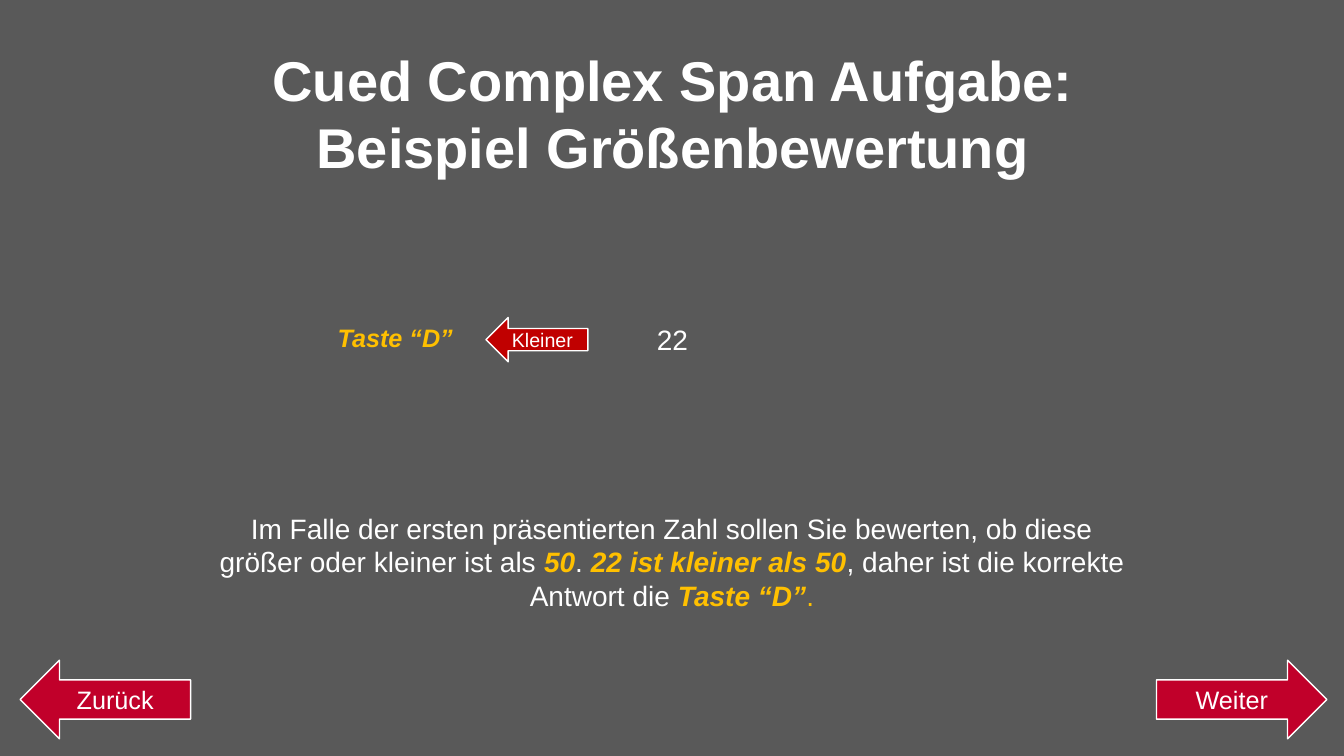
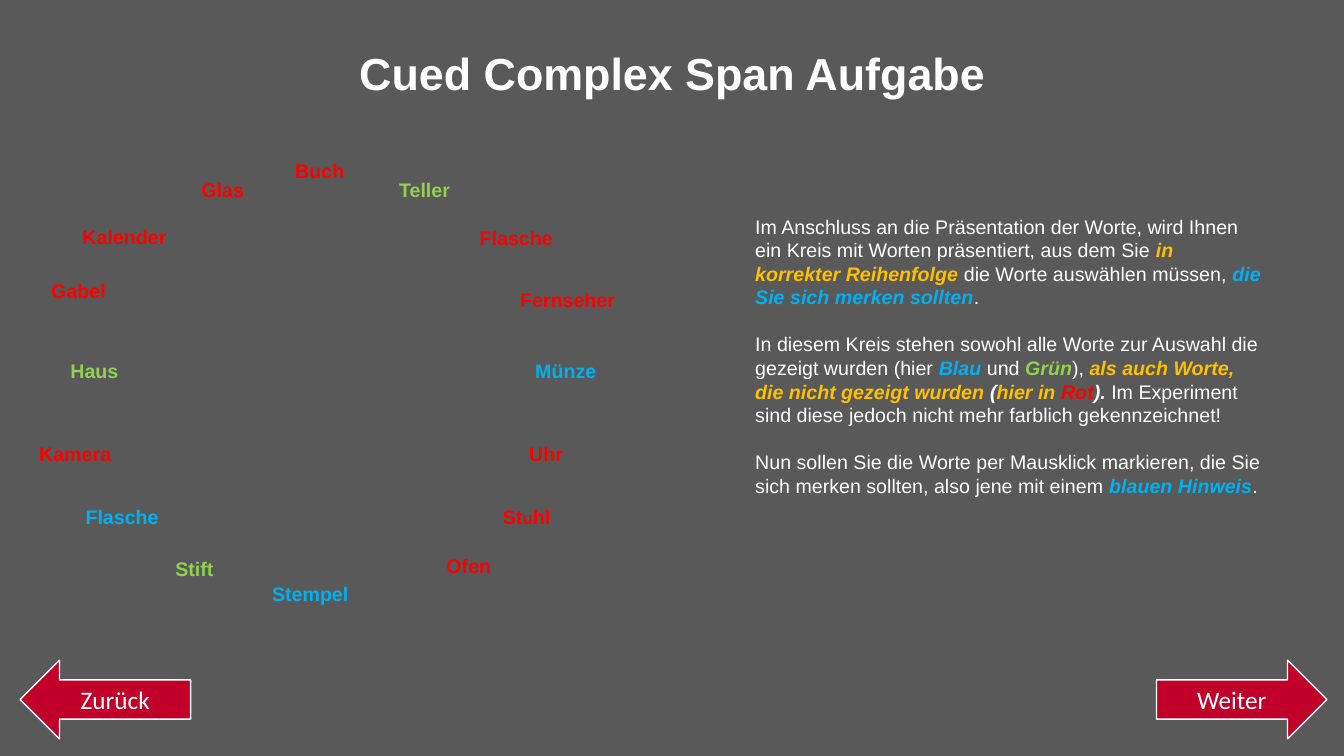
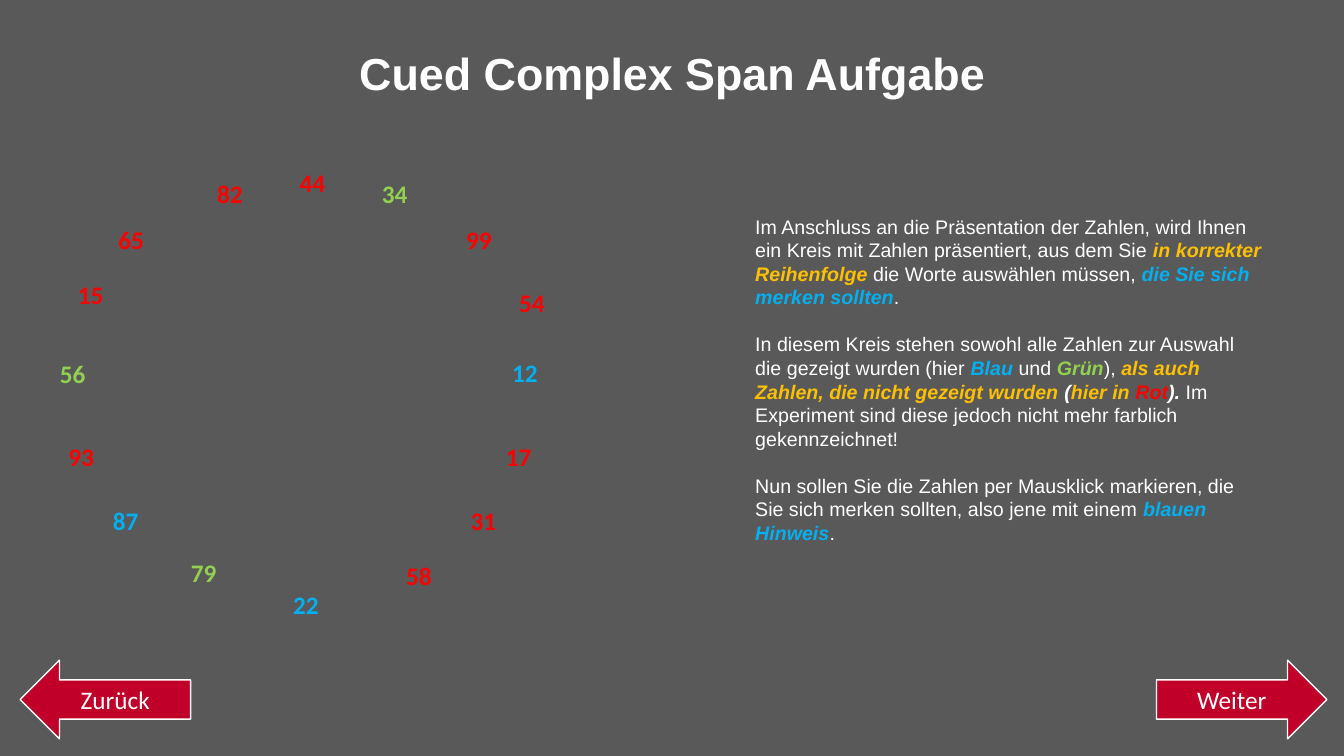
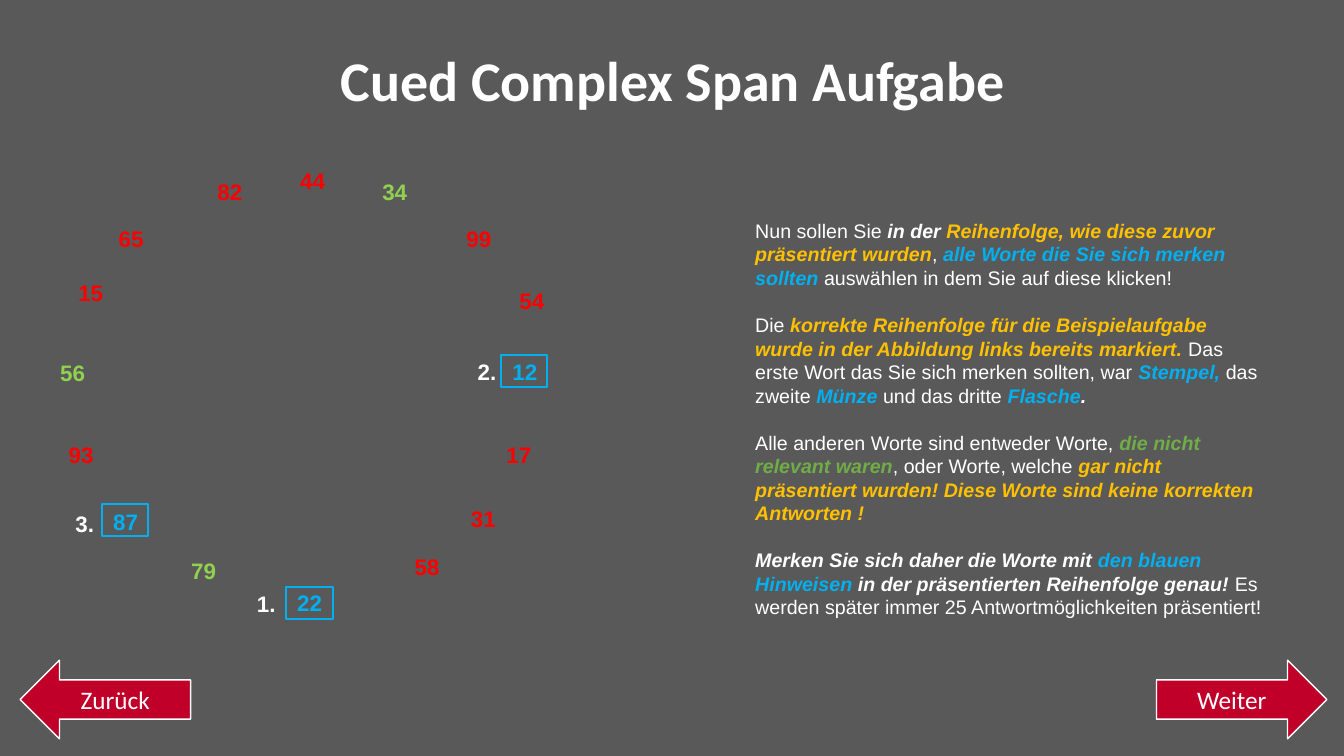
from lxml.etree import SubElement
from pptx import Presentation
from pptx.dml.color import RGBColor
from pptx.enum.shapes import MSO_SHAPE
from pptx.enum.text import MSO_ANCHOR, MSO_AUTO_SIZE, PP_ALIGN
from pptx.oxml.ns import qn
from pptx.util import Inches, Pt

GRAY = RGBColor(0x59, 0x59, 0x59)
WHITE = RGBColor(0xFF, 0xFF, 0xFF)
CRIMSON = RGBColor(0xC1, 0x00, 0x2A)
DARK_RED = RGBColor(0xC0, 0x00, 0x00)
RED = RGBColor(0xFF, 0x00, 0x00)
YELLOW = RGBColor(0xFF, 0xC0, 0x00)
BLUE = RGBColor(0x01, 0xB0, 0xF1)
GREEN = RGBColor(0x92, 0xD1, 0x4F)
DARK_GREEN = RGBColor(0x70, 0xAD, 0x47)

LINE_HEIGHT = 1.2
TITLE = "Cued Complex Span Aufgabe"

# Text, colour, left, top, width
WORDS = [
    ("Buch", RED, 2.83, 1.53, 0.76),
    ("Teller", GREEN, 3.86, 1.72, 1.03),
    ("Flasche", RED, 4.66, 2.19, 1.1),
    ("Fernseher", RED, 5.06, 2.81, 1.35),
    ("Münze", BLUE, 5.21, 3.51, 0.91),
    ("Uhr", RED, 5.15, 4.33, 0.91),
    ("Ofen", RED, 4.33, 5.45, 0.73),
    ("Stempel", BLUE, 2.6, 5.72, 1.07),
    ("Stift", GREEN, 1.64, 5.48, 0.76),
    ("Flasche", BLUE, 0.75, 4.96, 0.99),
    ("Kamera", RED, 0.29, 4.33, 1.03),
    ("Haus", GREEN, 0.6, 3.51, 0.76),
    ("Gabel", RED, 0.41, 2.72, 0.98),
    ("Kalender", RED, 0.72, 2.18, 1.16),
    ("Glas", RED, 1.9, 1.72, 0.76),
]
NUMBERS = [
    ("44", RED, 2.72, 1.61, 0.76),
    ("34", GREEN, 3.4, 1.72, 1.03),
    ("99", RED, 4.2, 2.18, 1.1),
    ("54", RED, 4.6, 2.8, 1.35),
    ("12", BLUE, 4.75, 3.5, 0.91),
    ("17", RED, 4.69, 4.33, 0.91),
    ("31", RED, 4.43, 4.96, 0.73),
    ("58", RED, 3.79, 5.51, 0.73),
    ("22", BLUE, 2.5, 5.8, 1.07),
    ("79", GREEN, 1.64, 5.48, 0.76),
    ("87", BLUE, 0.75, 4.96, 0.99),
    ("93", RED, 0.29, 4.33, 1.03),
    ("56", GREEN, 0.34, 3.51, 0.76),
    ("15", RED, 0.41, 2.72, 0.98),
    ("65", RED, 0.72, 2.18, 1.16),
    ("82", RED, 1.9, 1.72, 0.76),
]
# Places that differ once the answers are marked
MARKED_PLACES = {
    "58": (3.87, 5.44, 0.73),
    "22": (2.5, 5.8, 1.14),
    "87": (0.75, 4.99, 0.99),
}
# Text, left and top of the ordinal, left and top of the frame
ANSWERS = [
    ("1.", 2.45, 5.81, 2.84, 5.82),
    ("2.", 4.64, 3.5, 4.97, 3.52),
    ("3.", 0.65, 5.01, 1.01, 5),
]


class Deck:
    def __init__(self):
        self.presentation = Presentation()
        self.presentation.slide_width = Inches(13.33)
        self.presentation.slide_height = Inches(7.5)
        background = self.presentation.slide_master.background.fill
        background.solid()
        background.fore_color.rgb = GRAY
        self.slide = None

    def new_slide(self, title, left, width, height, size,
                  title_font="Arial", button_font="Calibri"):
        layout = self.presentation.slide_layouts[1]
        self.slide = self.presentation.slides.add_slide(layout)
        shape = self.slide.shapes.title
        self.place(shape, left, 0.4, width, height)
        frame = shape.text_frame
        frame.word_wrap = False
        frame.auto_size = MSO_AUTO_SIZE.SHAPE_TO_FIT_TEXT
        frame.vertical_anchor = MSO_ANCHOR.TOP
        paragraph = frame.paragraphs[0]
        paragraph.text = title
        paragraph.alignment = PP_ALIGN.CENTER
        self.style(paragraph.font, size, WHITE, title_font, bold=True)
        self.arrow(MSO_SHAPE.RIGHT_ARROW, "Weiter", 11.47, 6.55, 1.69, 0.78,
                   font=button_font)
        self.arrow(MSO_SHAPE.LEFT_ARROW, "Zurück", 0.2, 6.55, 1.69, 0.78,
                   font=button_font)

    def place(self, shape, left, top, width, height):
        shape.left, shape.top = Inches(left), Inches(top)
        shape.width, shape.height = Inches(width), Inches(height)

    def style(self, font, size, color, name="Arial", bold=False, italic=False):
        font.name = name
        font.size = Pt(size)
        font.bold = bold
        font.italic = italic
        font.color.rgb = color

    def arrow(self, kind, text, left, top, width, height,
              size=18, font="Arial", fill=CRIMSON):
        shape = self.slide.shapes.add_shape(
            kind, Inches(left), Inches(top), Inches(width), Inches(height))
        shape.shadow.inherit = False
        shape.fill.solid()
        shape.fill.fore_color.rgb = fill
        shape.line.color.rgb = WHITE
        shape.line.width = Pt(1)
        shape.text_frame.vertical_anchor = MSO_ANCHOR.MIDDLE
        paragraph = shape.text_frame.paragraphs[0]
        paragraph.text = text
        paragraph.alignment = PP_ALIGN.CENTER
        self.style(paragraph.font, size, WHITE, font)

    def answer_frame(self, left, top):
        shape = self.slide.shapes.add_shape(
            MSO_SHAPE.RECTANGLE, Inches(left), Inches(top),
            Inches(0.46), Inches(0.32))
        shape.shadow.inherit = False
        shape.fill.background()
        shape.line.color.rgb = BLUE
        shape.line.width = Pt(1.5)

    def label(self, text, color, left, top, width, size, font="Arial",
              bold=True, italic=False, align=PP_ALIGN.LEFT):
        height = size * LINE_HEIGHT / 72 + 0.1
        shape = self.slide.shapes.add_textbox(
            Inches(left), Inches(top), Inches(width), Inches(height))
        shape.text_frame.word_wrap = True
        paragraph = shape.text_frame.paragraphs[0]
        paragraph.text = text
        paragraph.alignment = align
        self.style(paragraph.font, size, color, font, bold, italic)
        return paragraph

    def body(self, paragraphs, left, top, width, height, size=14,
             align=PP_ALIGN.LEFT):
        """Each paragraph lists plain strings and (text, colour[, emphasis])."""
        shape = self.slide.placeholders[1]
        self.place(shape, left, top, width, height)
        frame = shape.text_frame
        frame.word_wrap = True
        frame.auto_size = MSO_AUTO_SIZE.SHAPE_TO_FIT_TEXT
        for index, segments in enumerate(paragraphs):
            paragraph = frame.add_paragraph() if index else frame.paragraphs[0]
            properties = paragraph._p.get_or_add_pPr()
            properties.set("marL", "0")
            properties.set("indent", "0")
            SubElement(properties, qn("a:buNone"))
            paragraph.alignment = align
            paragraph.space_before = Pt(size * LINE_HEIGHT if index else 0)
            self.style(paragraph.font, size, WHITE)
            for segment in segments:
                run = paragraph.add_run()
                if isinstance(segment, str):
                    run.text = segment
                    continue
                text, color, *emphasis = segment
                run.text = text
                run.font.color.rgb = color
                run.font.bold = run.font.italic = emphasis != [False]


def circle_instructions(noun):
    return [
        [f"Im Anschluss an die Präsentation der {noun}, wird Ihnen ein Kreis "
         f"mit {noun}{'n' if noun == 'Worte' else ''} präsentiert, aus dem Sie ",
         ("in korrekter Reihenfolge ", YELLOW), "die Worte auswählen müssen, ",
         ("die Sie sich merken sollten", BLUE), "."],
        [f"In diesem Kreis stehen sowohl alle {noun} zur Auswahl die gezeigt "
         "wurden (hier ", ("Blau", BLUE), " und ", ("Grün", GREEN), "), ",
         (f"als auch {noun}, die nicht gezeigt wurden ", YELLOW), ("(", WHITE),
         ("hier in ", YELLOW), ("Rot", RED), ("). ", WHITE),
         "Im Experiment sind diese jedoch nicht mehr farblich gekennzeichnet!"],
        [f"Nun sollen Sie die {noun} per Mausklick markieren, die Sie sich "
         "merken sollten, also jene mit einem ", ("blauen Hinweis", BLUE), "."],
    ]


def size_example(deck):
    deck.new_slide(f"{TITLE}:\nBeispiel Größenbewertung", 2.56, 8.22, 1.45, 40,
                   button_font="Arial")
    deck.body([[
        "Im Falle der ersten präsentierten Zahl sollen Sie bewerten, ob diese "
        "größer oder kleiner ist als ", ("50", YELLOW), ". ",
        ("22 ist kleiner als 50", YELLOW), ", daher ist die korrekte Antwort die ",
        ("Taste “D”", YELLOW), (".", YELLOW, False),
    ]], 2.06, 5.02, 9.21, 1.78, size=20, align=PP_ALIGN.CENTER)
    deck.label("22", WHITE, 4.3, 3.15, 4.74, 20, bold=False,
               align=PP_ALIGN.CENTER)
    deck.label("Taste “D”", YELLOW, 3.25, 3.15, 1.36, 18, italic=True)
    deck.arrow(MSO_SHAPE.LEFT_ARROW, "Kleiner", 4.82, 3.15, 1.01, 0.44,
               size=14, fill=DARK_RED)


def word_circle(deck):
    deck.new_slide(TITLE, 3.44, 6.46, 0.64, 32)
    deck.body(circle_instructions("Worte"), 7.39, 2.08, 5.23, 3.16)
    for word in WORDS:
        deck.label(*word, size=14)
    paragraph = deck.label("St", RED, 4.89, 4.96, 0.73, size=14)
    for text, size in (("u", 12), ("hl", 14)):
        run = paragraph.add_run()
        run.text = text
        run.font.size = Pt(size)


def number_circle(deck):
    deck.new_slide(TITLE, 3.44, 6.46, 0.64, 32)
    deck.body(circle_instructions("Zahlen"), 7.39, 2.08, 5.23, 3.64)
    for number in NUMBERS:
        deck.label(*number, size=18, font="Calibri", align=PP_ALIGN.CENTER)


def marked_circle(deck):
    deck.new_slide(TITLE, 3.24, 6.86, 0.77, 40, title_font="Calibri")
    deck.body([
        ["Nun sollen Sie ", ("in der ", WHITE),
         ("Reihenfolge, wie diese zuvor präsentiert wurden", YELLOW), ", ",
         ("alle Worte die Sie sich merken sollten ", BLUE),
         "auswählen in dem Sie auf diese klicken!"],
        ["Die ", ("korrekte Reihenfolge für die Beispielaufgabe wurde in der "
                  "Abbildung links bereits markiert. ", YELLOW),
         "Das erste Wort das Sie sich merken sollten, war ",
         ("Stempel, ", BLUE), "das zweite ", ("Münze ", BLUE),
         "und das dritte ", ("Flasche", BLUE), (".", WHITE)],
        ["Alle anderen Worte sind entweder Worte, ",
         ("die nicht relevant waren", DARK_GREEN), ", oder Worte, welche ",
         ("gar nicht präsentiert wurden! Diese Worte sind keine korrekten "
          "Antworten !", YELLOW)],
        [("Merken Sie sich daher die Worte mit ", WHITE),
         ("den blauen Hinweisen", BLUE),
         (" in der präsentierten Reihenfolge genau! ", WHITE),
         "Es werden später immer 25 Antwortmöglichkeiten präsentiert!"],
    ], 7.39, 2.12, 5.23, 4.34)
    for text, color, *place in NUMBERS:
        deck.label(text, color, *MARKED_PLACES.get(text, place), size=16,
                   align=PP_ALIGN.CENTER)
    for ordinal, left, top, frame_left, frame_top in ANSWERS:
        deck.label(ordinal, WHITE, left, top, 0.4, 16)
        deck.answer_frame(frame_left, frame_top)


def main():
    deck = Deck()
    size_example(deck)
    word_circle(deck)
    number_circle(deck)
    marked_circle(deck)
    deck.presentation.save("out.pptx")


if __name__ == "__main__":
    main()
